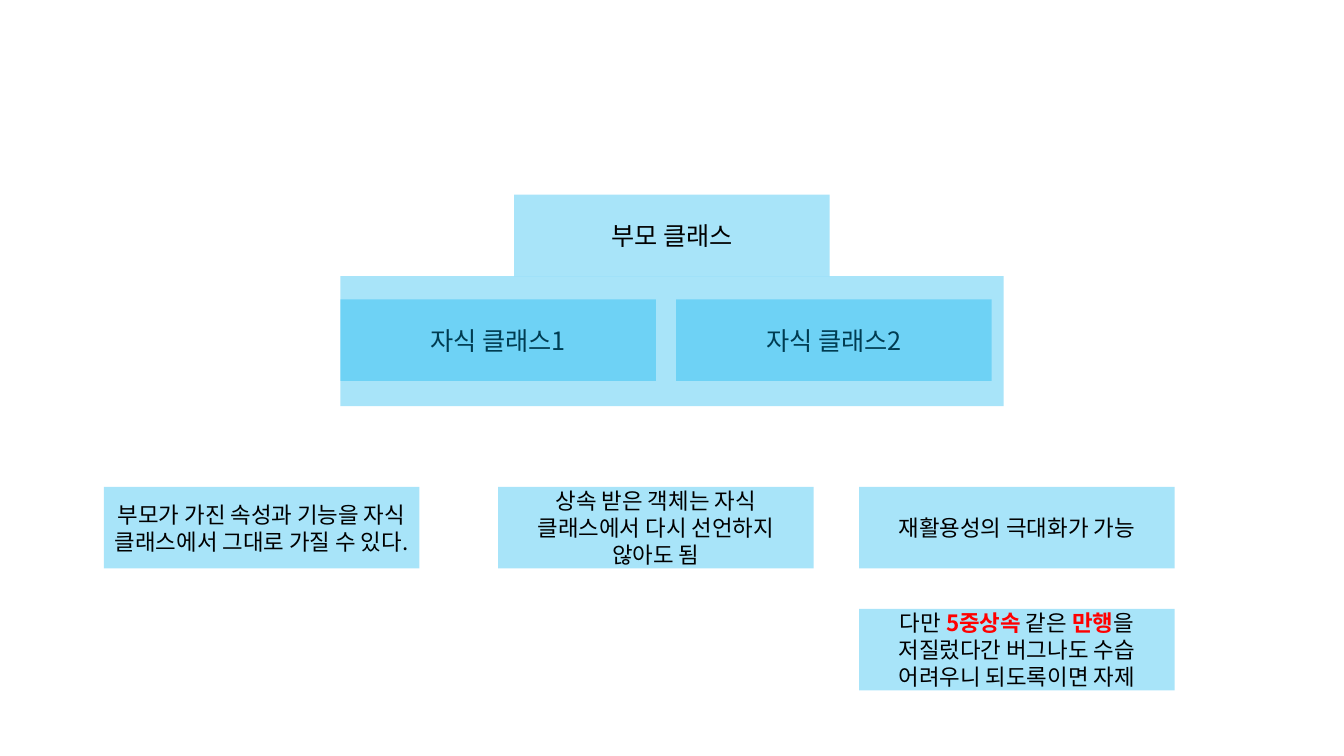
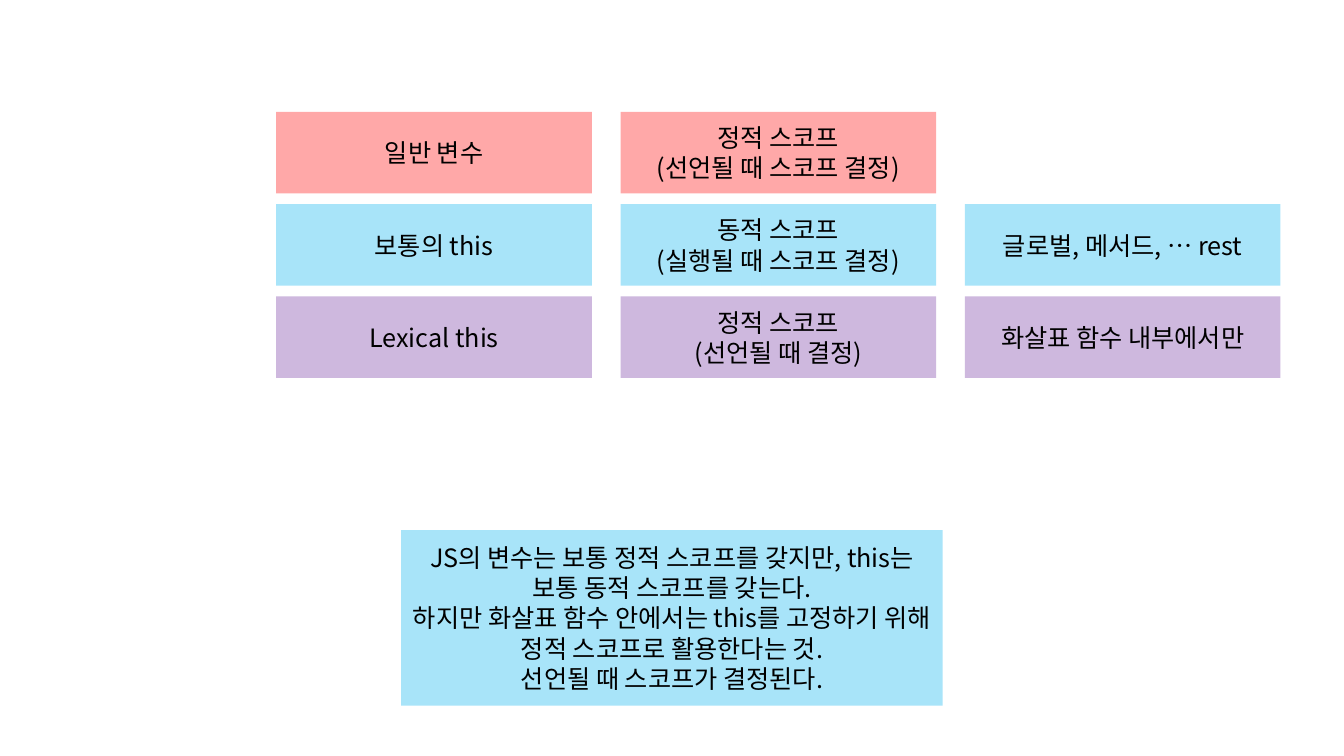
"""Build two slides: class inheritance, and the scope of variables and this."""
from dataclasses import dataclass

from lxml.etree import SubElement
from pptx import Presentation
from pptx.dml.color import RGBColor
from pptx.enum.shapes import MSO_SHAPE
from pptx.enum.text import MSO_ANCHOR, PP_ALIGN
from pptx.oxml.ns import qn
from pptx.util import Inches, Pt


@dataclass(frozen=True)
class Theme:
    font: str = "Noto Sans CJK KR"
    text: str = "000000"
    alert: str = "FF0000"
    blue: str = "00B0F0"
    red: str = "FF0000"
    purple: str = "7030A0"
    opacity: int = 34
    label: int = 18
    note: int = 16


T = Theme()
SLIDE_W, SLIDE_H = 13.33, 7.5
BOX_W, BOX_H = 3.13, 0.81

PARENT = "부모 클래스"
CHILDREN = ["자식 클래스1", "자식 클래스2"]
NOTES = [
    (1.03, 4.83, "부모가 가진 속성과 기능을 자식 클래스에서 그대로 가질 수 있다."),
    (4.94, 4.83, "상속 받은 객체는 자식 클래스에서 다시 선언하지 않아도 됨"),
    (8.52, 4.83, "재활용성의 극대화가 가능"),
    (8.52, 6.04, "다만 *5중상속 *같은 *만행*을 저질렀다간 버그나도 수습 어려우니 되도록이면 자제"),
]
SCOPES = [
    (T.red, ["일반 변수", "정적 스코프\n(선언될 때 스코프 결정)"]),
    (T.blue, ["보통의 this", "동적 스코프\n(실행될 때 스코프 결정)", "글로벌, 메서드, … rest"]),
    (T.purple, ["Lexical this", "정적 스코프\n(선언될 때 결정)", "화살표 함수 내부에서만"]),
]
SUMMARY = (
    "JS의 변수는 보통 정적 스코프를 갖지만, this는 보통 동적 스코프를 갖는다.\n"
    "하지만 화살표 함수 안에서는 this를 고정하기 위해 정적 스코프로 활용한다는 것.\n"
    "선언될 때 스코프가 결정된다."
)


def add_text(tf, text, size=T.label, color=T.text):
    """Write one paragraph per line; parts between asterisks are stressed."""
    tf.word_wrap = True
    tf.vertical_anchor = MSO_ANCHOR.MIDDLE
    for i, line in enumerate(text.split("\n")):
        p = tf.add_paragraph() if i else tf.paragraphs[0]
        p.alignment = PP_ALIGN.CENTER
        for j, part in enumerate(line.split("*")):
            stressed = j % 2 == 1
            r = p.add_run()
            r.text = part
            r.font.size = Pt(size)
            r.font.bold = stressed
            r.font.color.rgb = RGBColor.from_string(T.alert if stressed else color)
            r.font.name = T.font
            SubElement(r.font._element, qn("a:ea"), typeface=T.font)


def add_box(s, x, y, text="", w=BOX_W, h=BOX_H, fill=T.blue, size=T.label):
    """Add a translucent rectangle with centred text."""
    sp = s.shapes.add_shape(MSO_SHAPE.RECTANGLE, Inches(x), Inches(y), Inches(w), Inches(h))
    sp.shadow.inherit = False
    sp.line.fill.background()
    sp.fill.solid()
    sp.fill.fore_color.rgb = RGBColor.from_string(fill)
    clr = sp._element.spPr.find(qn("a:solidFill")).find(qn("a:srgbClr"))
    SubElement(clr, qn("a:alpha"), val=str(T.opacity * 1000))
    if text:
        add_text(sp.text_frame, text, size=size)


def centred(w):
    """Return the left edge that centres a width on the slide."""
    return (SLIDE_W - w) / 2


def build_inheritance(s):
    """Draw the parent over its children, with the notes below."""
    frame_w, frame_y, gap = 6.58, 2.74, 0.2
    left = centred(frame_w)
    add_box(s, centred(BOX_W), frame_y - BOX_H, PARENT)
    for i, child in enumerate(CHILDREN):
        add_box(s, left + i * (BOX_W + gap), 2.97, child)
    add_box(s, left, frame_y, w=frame_w, h=1.29)
    for x, y, note in NOTES:
        add_box(s, x, y, note, size=T.note)


def build_scopes(s):
    """Draw the grid of scopes and the summary."""
    left, top, right, bottom = 2.74, 1.11, 9.57, 2.94
    dx, dy = (right - left) / 2, (bottom - top) / 2
    for row, (fill, labels) in enumerate(SCOPES):
        for col, label in enumerate(labels):
            add_box(s, left + col * dx, top + row * dy, label, fill=fill)
    summary_w = 5.37
    add_box(s, centred(summary_w), 5.26, SUMMARY, w=summary_w, h=1.74)


def main():
    """Build and save the presentation."""
    prs = Presentation()
    prs.slide_width, prs.slide_height = Inches(SLIDE_W), Inches(SLIDE_H)
    for build in (build_inheritance, build_scopes):
        build(prs.slides.add_slide(prs.slide_layouts[6]))
    prs.save("out.pptx")


if __name__ == "__main__":
    main()
